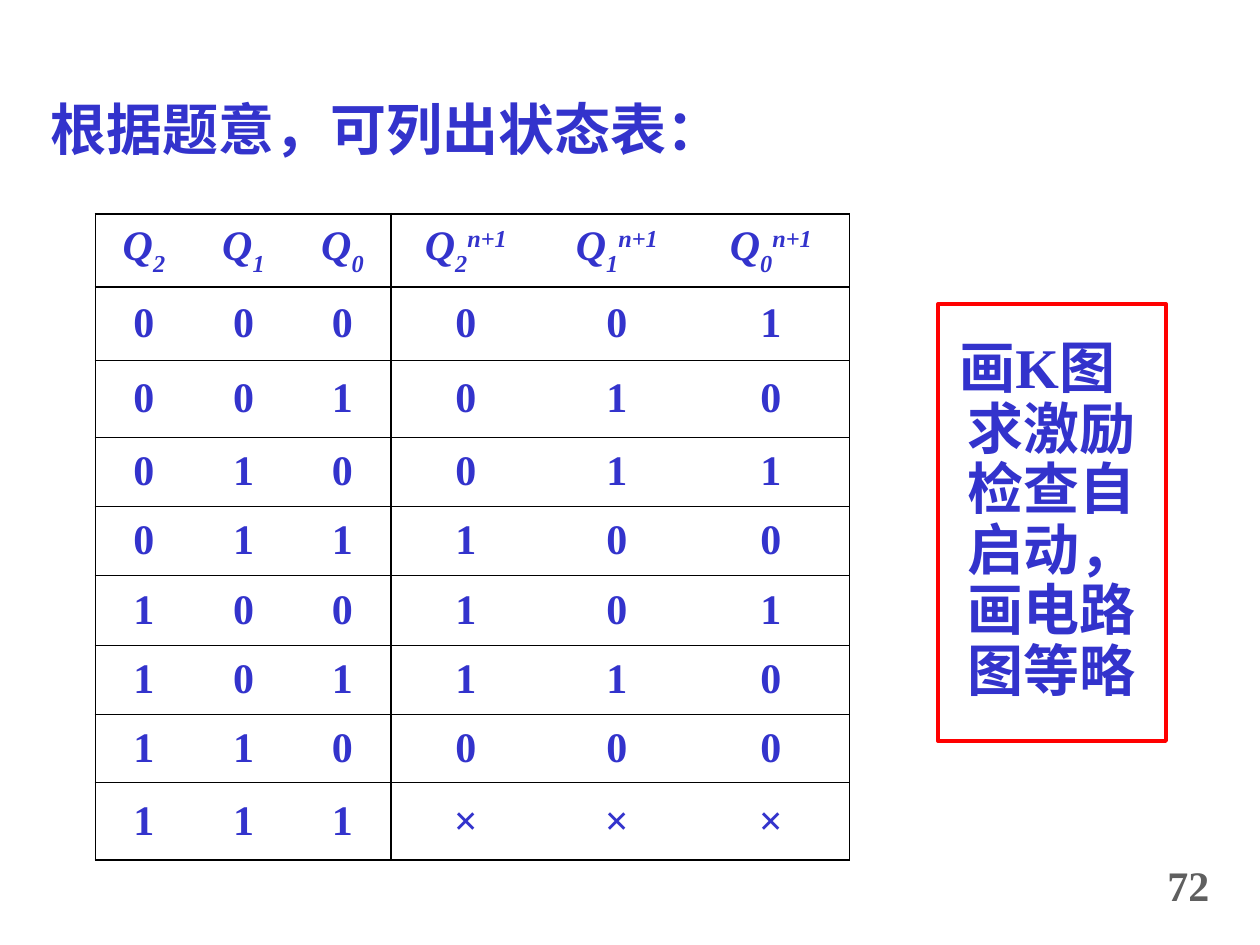
from dataclasses import dataclass

from lxml.etree import SubElement
from pptx import Presentation
from pptx.dml.color import RGBColor
from pptx.enum.shapes import MSO_SHAPE
from pptx.enum.text import MSO_ANCHOR, PP_ALIGN
from pptx.oxml.ns import qn
from pptx.util import Pt

EMU_PER_PX = 914400 / 126
FONT = "Times New Roman"
BLUE = RGBColor(0x33, 0x33, 0xCC)
GRAY = RGBColor(0x5F, 0x5F, 0x5F)
RED = RGBColor(0xFF, 0x00, 0x00)
WHITE = RGBColor(0xFF, 0xFF, 0xFF)
BLACK = RGBColor(0x00, 0x00, 0x00)

THIN, MEDIUM, THICK = 0.34, 0.96, 1.47
COLUMN_WIDTHS = [98, 101, 97, 150, 152, 156]
ROW_HEIGHTS = [73, 73, 77, 69, 69, 70, 69, 69, 77]
VERTICAL_RULES = {0: THIN, 3: MEDIUM, 6: THIN}
HORIZONTAL_RULES = {0: THICK, 1: MEDIUM, len(ROW_HEIGHTS): THICK}
STATE_BITS = 3
NEXT_STATES = ["001", "010", "011", "100", "101", "110", "000", "×××"]


@dataclass(frozen=True)
class Label:
    text: str
    left: int
    top: int
    width: int
    height: int
    size: int
    color: RGBColor
    margin: int = 0
    indent: int = 0


TITLE = Label("根据题意，可列出状态表：", 38, 96, 793, 73, 32, BLUE)
NOTE = Label("画K图求激励检查自启动，画电路图等略", 907, 334, 258, 375, 32, BLUE, 48, -8)
PAGE_NUMBER = Label("72", 1155, 859, 79, 58, 24, GRAY)


def px(value: int) -> int:
    return round(value * EMU_PER_PX)


def set_font(paragraph, size: int, color: RGBColor, italic: bool = False) -> None:
    font = paragraph.font
    font.name = FONT
    font.size = Pt(size)
    font.bold = True
    font.italic = italic
    font.color.rgb = color


def add_label(shapes, label: Label) -> None:
    box = shapes.add_textbox(px(label.left), px(label.top), px(label.width), px(label.height))
    box.text_frame.word_wrap = True
    paragraph = box.text_frame.paragraphs[0]
    paragraph.text = label.text
    paragraph.line_spacing = 0.9
    properties = paragraph._p.get_or_add_pPr()
    properties.set("marL", str(px(label.margin)))
    properties.set("indent", str(px(label.indent)))
    set_font(paragraph, label.size, label.color)


def add_note(shapes) -> None:
    group = shapes.add_group_shape()
    frame = group.shapes.add_shape(MSO_SHAPE.RECTANGLE, px(938), px(304), px(228), px(437))
    frame.shadow.inherit = False
    frame.fill.solid()
    frame.fill.fore_color.rgb = WHITE
    frame.line.color.rgb = RED
    frame.line.width = Pt(2.25)
    add_label(group.shapes, NOTE)


def set_borders(cell, row: int, column: int) -> None:
    properties = cell._tc.get_or_add_tcPr()
    widths = {
        "a:lnL": VERTICAL_RULES.get(column),
        "a:lnR": VERTICAL_RULES.get(column + 1),
        "a:lnT": HORIZONTAL_RULES.get(row, THIN),
        "a:lnB": HORIZONTAL_RULES.get(row + 1, THIN),
    }
    for tag, width in widths.items():
        line = SubElement(properties, qn(tag))
        if width is None:
            SubElement(line, qn("a:noFill"))
        else:
            line.set("w", str(Pt(width)))
            fill = SubElement(line, qn("a:solidFill"))
            SubElement(fill, qn("a:srgbClr")).set("val", str(BLACK))


def add_run(paragraph, text: str, baseline: int = 0) -> None:
    """Add a run, raised or lowered by baseline percent of its size."""
    run = paragraph.add_run()
    run.text = text
    if baseline:
        run._r.get_or_add_rPr().set("baseline", str(baseline * 1000))


def fill_header(paragraph, column: int) -> None:
    add_run(paragraph, "Q")
    add_run(paragraph, str(STATE_BITS - 1 - column % STATE_BITS), -30)
    if column >= STATE_BITS:
        add_run(paragraph, "n+1", 30)


def add_state_table(shapes) -> None:
    table = shapes.add_table(
        len(ROW_HEIGHTS), len(COLUMN_WIDTHS), px(95), px(214),
        px(sum(COLUMN_WIDTHS)), px(sum(ROW_HEIGHTS)),
    ).table
    table.first_row = False
    table.horz_banding = False
    for column, width in zip(table.columns, COLUMN_WIDTHS):
        column.width = px(width)
    for row, height in zip(table.rows, ROW_HEIGHTS):
        row.height = px(height)

    states = [f"{state:03b}{following}" for state, following in enumerate(NEXT_STATES)]
    for row in range(len(ROW_HEIGHTS)):
        for column in range(len(COLUMN_WIDTHS)):
            cell = table.cell(row, column)
            cell.vertical_anchor = MSO_ANCHOR.MIDDLE
            set_borders(cell, row, column)
            cell.fill.background()
            paragraph = cell.text_frame.paragraphs[0]
            paragraph.alignment = PP_ALIGN.CENTER
            if row == 0:
                fill_header(paragraph, column)
            else:
                add_run(paragraph, states[row - 1][column])
            set_font(paragraph, 24, BLUE, italic=row == 0)


def main() -> None:
    presentation = Presentation()
    presentation.slide_width = px(1260)
    presentation.slide_height = px(945)
    slide = presentation.slides.add_slide(presentation.slide_layouts[6])
    add_state_table(slide.shapes)
    add_label(slide.shapes, TITLE)
    add_note(slide.shapes)
    add_label(slide.shapes, PAGE_NUMBER)
    presentation.save("out.pptx")


if __name__ == "__main__":
    main()
